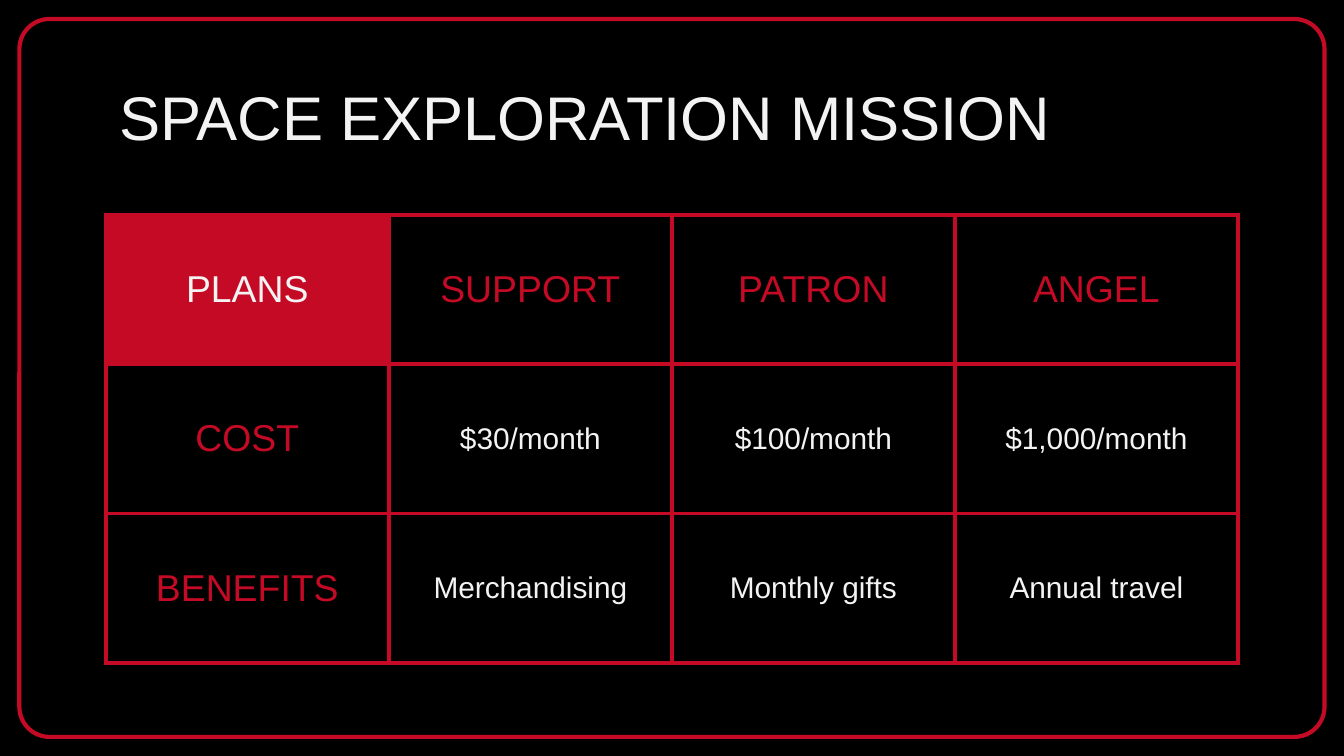
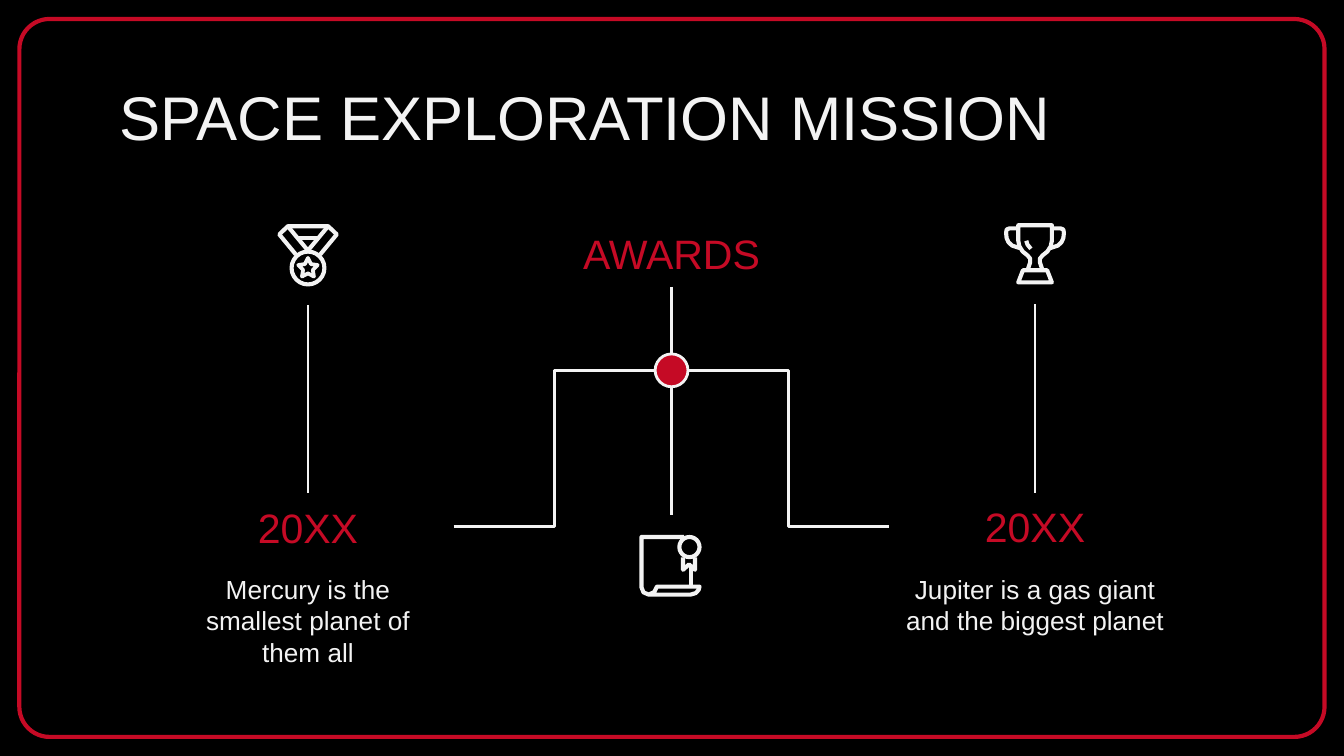
import pptx
import pptx.dml.color
import pptx.enum.shapes
import pptx.enum.text
import pptx.oxml
import pptx.oxml.ns
import pptx.util

Pt = pptx.util.Pt
SHAPES = pptx.enum.shapes.MSO_SHAPE
CONNECTORS = pptx.enum.shapes.MSO_CONNECTOR
ALIGN = pptx.enum.text.PP_ALIGN
ANCHOR = pptx.enum.text.MSO_ANCHOR

BLACK, RED, WHITE = "000000", "C50A25", "F3F3F3"
FONT = "Arial"
INSET = 7.2
FRAME_WIDTH, LINE_WIDTH, ICON_WIDTH = 2.25, 1.5, 2.2
SLIDE_WIDTH, SLIDE_HEIGHT = 720, 405
MARGIN = 56.7
CONTENT_WIDTH = SLIDE_WIDTH - 2 * MARGIN
LABEL_HEIGHT = 36
TITLE = "SPACE EXPLORATION MISSION"

TITLE_STYLE = {"size": Pt(33), "name": FONT}
HEADING_STYLE = {"size": Pt(20), "name": FONT}
LABEL_STYLE = {"size": Pt(22), "name": FONT}
CELL_STYLE = {"size": Pt(16), "name": FONT}
BODY_STYLE = {"size": Pt(14), "name": FONT}

PLANS = [
    ["PLANS", "SUPPORT", "PATRON", "ANGEL"],
    ["COST", "$30/month", "$100/month", "$1,000/month"],
    ["BENEFITS", "Merchandising", "Monthly gifts", "Annual travel"],
]


def rgb(color):
    return pptx.dml.color.RGBColor.from_string(color)


def write(frame, text, style, color, align=ALIGN.CENTER):
    paragraph = frame.paragraphs[0]
    paragraph.alignment = align
    run = paragraph.add_run()
    run.text = text
    for attribute, value in style.items():
        setattr(run.font, attribute, value)
    run.font.color.rgb = rgb(color)


def set_margins(target):
    for side in ("left", "top", "right", "bottom"):
        setattr(target, "margin_" + side, Pt(INSET))


def fill_frame(frame, text, style, color, align=ALIGN.CENTER, anchor=ANCHOR.TOP):
    frame.word_wrap = True
    frame.vertical_anchor = anchor
    set_margins(frame)
    write(frame, text, style, color, align)


def add_text(slide, box, text, style, color, align=ALIGN.CENTER):
    frame = slide.shapes.add_textbox(*map(Pt, box)).text_frame
    fill_frame(frame, text, style, color, align)


def paint(shape, fill=None, line=WHITE, width=LINE_WIDTH):
    shape.shadow.inherit = False
    if fill:
        shape.fill.solid()
        shape.fill.fore_color.rgb = rgb(fill)
    else:
        shape.fill.background()
    if line:
        shape.line.color.rgb = rgb(line)
        shape.line.width = Pt(width)
    else:
        shape.line.fill.background()


def add_outline(slide, kind, box, **look):
    shape = slide.shapes.add_shape(kind, *map(Pt, box))
    paint(shape, **look)
    return shape


def add_label(slide, box, text):
    label = add_outline(slide, SHAPES.ROUNDED_RECTANGLE, box, line=None)
    label.adjustments[0] = 0
    fill_frame(label.text_frame, text, LABEL_STYLE, RED, anchor=ANCHOR.MIDDLE)


def add_line(slide, start, end, kind=CONNECTORS.STRAIGHT):
    line = slide.shapes.add_connector(kind, *map(Pt, (*start, *end)))
    line.line.color.rgb = rgb(WHITE)
    line.line.width = Pt(LINE_WIDTH)
    line._element.spPr.append(pptx.oxml.parse_xml(
        f'<a:effectLst {pptx.oxml.ns.nsdecls("a")}/>'))


# Icons: strokes in points from the top left corner of each icon
def add_stroke(slide, origin, points, closed=False):
    placed = [(Pt(origin[0] + x), Pt(origin[1] + y)) for x, y in points]
    builder = slide.shapes.build_freeform(*placed[0])
    builder.add_line_segments(placed[1:], close=closed)
    paint(builder.convert_to_shape(), width=ICON_WIDTH)


def add_disc(slide, origin, center, radius):
    corner = [o + c - radius for o, c in zip(origin, center)]
    add_outline(slide, SHAPES.OVAL, (*corner, 2 * radius, 2 * radius), width=ICON_WIDTH)


def mirrored(points, axis=16.6):
    return [(2 * axis - x, y) for x, y in reversed(points)]


def draw_medal(slide, origin):
    ribbon = [(10.1, 16.6), (1.2, 5.8), (5.8, 1.4)]
    add_stroke(slide, origin, ribbon + mirrored(ribbon))
    add_stroke(slide, origin, [(5.8, 1.4), (16.6, 14.4), (27.4, 1.4)])
    add_stroke(slide, origin, [(11.5, 7.9), (21.7, 7.9)])
    add_disc(slide, origin, (16.6, 23.8), 8.8)
    star = (origin[0] + 11.4, origin[1] + 18.4, 10.4, 10)
    add_outline(slide, SHAPES.STAR_5_POINT, star, width=2).adjustments[0] = 0.25


def draw_trophy(slide, origin):
    cup = [(12.6, 25.2), (14, 21), (14, 19), (12.6, 17.3), (10, 15.2), (8.2, 12.4),
           (7.6, 9.4), (7.6, 1.1)]
    handle = [(7.6, 2.8), (2.8, 2.8), (1.4, 3.4), (1.1, 5.2), (1.4, 8), (2.4, 10.2),
              (4.3, 12), (8.3, 13.3)]
    base = [(7.6, 31.7), (10.1, 25.2)]
    add_stroke(slide, origin, cup + mirrored(cup))
    add_stroke(slide, origin, handle)
    add_stroke(slide, origin, mirrored(handle))
    add_stroke(slide, origin, base + mirrored(base), closed=True)
    add_stroke(slide, origin, [(11.9, 9.4), (12.6, 11.5), (14.4, 13.7)])


def draw_diploma(slide, origin):
    add_stroke(slide, origin, [
        (24, 1.1), (1.1, 1.1), (1.1, 28.1), (2.2, 30.8), (5, 32), (27.4, 32),
        (30.2, 31.2), (31.8, 29.4), (32.2, 27.7), (9.4, 27.7), (8, 30.6), (5, 32)])
    add_stroke(slide, origin, [(27.7, 17), (27.7, 27.7)])
    add_stroke(slide, origin, [
        (23.4, 12), (23.4, 18.7), (26.6, 15.8), (29.8, 18.7), (29.8, 12)])
    add_disc(slide, origin, (26.8, 6.5), 5.4)


# Shared background, frame and title
def start_slide(deck):
    slide = deck.slides.add_slide(deck.slide_layouts[6])
    slide.background.fill.solid()
    slide.background.fill.fore_color.rgb = rgb(BLACK)
    inset = 10.4
    frame = add_outline(
        slide, SHAPES.ROUNDED_RECTANGLE,
        (inset, 10.2, SLIDE_WIDTH - 2 * inset, SLIDE_HEIGHT - 20.4),
        line=RED, width=FRAME_WIDTH)
    frame.adjustments[0] = 0.042
    add_text(slide, (MARGIN, 35.3, CONTENT_WIDTH, 45.4), TITLE, TITLE_STYLE, WHITE,
             align=ALIGN.LEFT)
    return slide


def add_borders(cell):
    properties = cell._tc.get_or_add_tcPr()
    for index, side in enumerate(("lnL", "lnR", "lnT", "lnB")):
        properties.insert(index, pptx.oxml.parse_xml(
            f'<a:{side} {pptx.oxml.ns.nsdecls("a")} w="{Pt(FRAME_WIDTH)}">'
            f'<a:solidFill><a:srgbClr val="{RED}"/></a:solidFill></a:{side}>'))


# Table of plans
def add_plans(slide, box):
    table = slide.shapes.add_table(len(PLANS), len(PLANS[0]), *map(Pt, box)).table
    table.first_row = table.horz_banding = False
    for row, texts in enumerate(PLANS):
        for column, text in enumerate(texts):
            cell = table.cell(row, column)
            corner = row == column == 0
            heading = row == 0 or column == 0
            cell.fill.solid()
            cell.fill.fore_color.rgb = rgb(RED if corner else BLACK)
            cell.vertical_anchor = ANCHOR.MIDDLE
            set_margins(cell)
            write(cell.text_frame, text, HEADING_STYLE if heading else CELL_STYLE,
                  RED if heading and not corner else WHITE)
            add_borders(cell)


# One award: icon, stem, year and description
def add_award(slide, box, year, description, draw_icon):
    left, top, width, height = box
    center = left + width / 2
    year_top = top + 144.5
    text_top = year_top + LABEL_HEIGHT - 0.3
    draw_icon(slide, (center - 16.6, top))
    add_line(slide, (center, top + 43.5), (center, year_top))
    add_label(slide, (left, year_top, width, LABEL_HEIGHT), year)
    add_text(slide, (left, text_top, width, top + height - text_top), description,
             BODY_STYLE, WHITE)


# Hub: heading, dot and branches to the awards on both sides
def add_hub(slide, box):
    left, top, width, height = box
    center, right = left + width / 2, left + width
    radius, dot_y, branch_y = 8.8, top + 80.7, top + 164.3
    add_label(slide, (center - 91, top, 182, LABEL_HEIGHT), "AWARDS")
    add_outline(slide, SHAPES.OVAL,
                (center - radius, dot_y - radius, 2 * radius, 2 * radius), fill=RED)
    add_line(slide, (left, branch_y), (center - radius, dot_y), CONNECTORS.ELBOW)
    add_line(slide, (center + radius, dot_y), (right, branch_y), CONNECTORS.ELBOW)
    add_line(slide, (center, top + LABEL_HEIGHT), (center, dot_y - radius))
    add_line(slide, (center, dot_y + radius), (center, top + 158.1))
    draw_diploma(slide, (center - 17.2, top + height - 33.2))


def build_plans_slide(deck):
    add_plans(start_slide(deck), (MARGIN, 115.1, CONTENT_WIDTH, 240))


def build_awards_slide(deck):
    slide = start_slide(deck)
    width, top, height = 156, 119.8, 235
    left, right = 87, 476.5
    add_hub(slide, (left + width, 117.7, right - left - width, 202.1))
    add_award(slide, (left, top, width, height), "20XX",
              "Mercury is the smallest planet of them all", draw_medal)
    add_award(slide, (right, top - 0.2, width, height), "20XX",
              "Jupiter is a gas giant and the biggest planet", draw_trophy)


def main():
    deck = pptx.Presentation()
    deck.slide_width, deck.slide_height = Pt(SLIDE_WIDTH), Pt(SLIDE_HEIGHT)
    build_plans_slide(deck)
    build_awards_slide(deck)
    deck.save("out.pptx")


if __name__ == "__main__":
    main()
